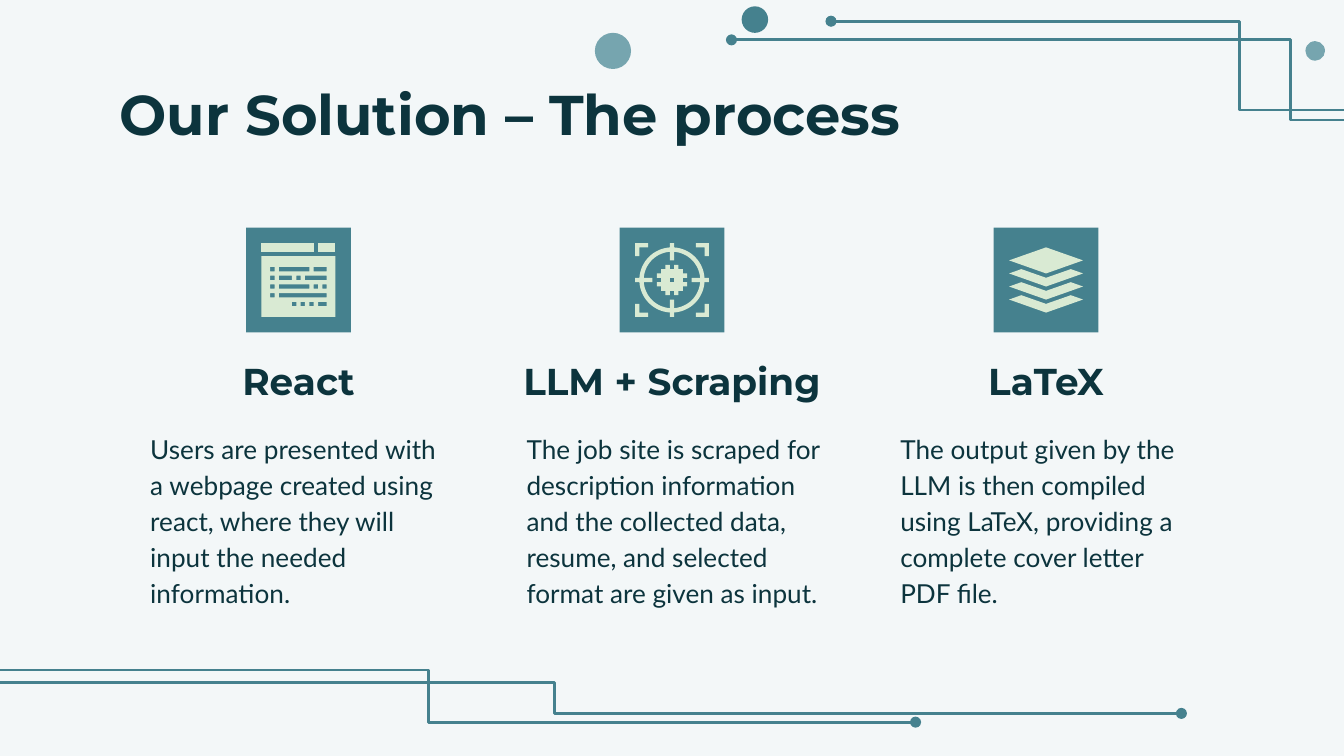
from math import asin, cos, pi, sin

from lxml.etree import SubElement
from pptx import Presentation
from pptx.dml.color import RGBColor
from pptx.enum.shapes import MSO_CONNECTOR, MSO_SHAPE
from pptx.enum.text import MSO_ANCHOR, MSO_AUTO_SIZE, PP_ALIGN
from pptx.oxml.ns import qn
from pptx.util import Pt

BACKGROUND, INK = "F3F7F8", "0C343D"
TEAL, LIGHT_TEAL, MINT = "45818E", "76A5AF", "D9EAD3"

# Icons are drawn on a grid of 17 by 17 cells inside a square tile
CELL, TILE, TILE_TOP = 2.33, 56.2, 121.9
GRID = 17
MIDDLE = GRID / 2

# Tile centre, heading, heading width, description, description left
COLUMNS = [
    (159.9, "React", 171.4,
     "Users are presented with a webpage created using react, where they "
     "will input the needed information.", 73.4),
    (360, "LLM + Scraping", 200.2,
     "The job site is scraped for description information and the collected "
     "data, resume, and selected format are given as input.", 275),
    (560.4, "LaTeX", 171.4,
     "The output given by the LLM is then compiled using LaTeX, providing a "
     "complete cover letter PDF file.", 475.2),
]

# Centre x, centre y, diameter, colour
DOTS = [
    (328.4, 27.3, 19.4, LIGHT_TEAL),
    (404.4, 10.5, 14.2, TEAL),
    (704.6, 27.3, 10.5, LIGHT_TEAL),
]

# Begin, end, x of the bend
CIRCUITS = [
    ((761, 64.3), (391.9, 21.4), 691.2),
    ((771.1, 59), (445.2, 11.4), 664.3),
    ((-38.9, 365.5), (632.9, 382.2), 297),
    ((-31.7, 359), (490.5, 386.9), 229.5),
]

# Top of each code row and the cells its bars cover
CODE_ROWS = [
    (5.5, [(2, 3), (4, 11), (12, 15)]),
    (7.5, [(2, 3), (4, 7), (8, 9), (10, 15)]),
    (9.5, [(2, 3), (4, 11), (12, 13), (14, 15)]),
    (11.5, [(2, 3), (4, 15)]),
    (13.5, [(7, 8), (9, 10), (11, 12), (13, 15)]),
]


def colour(value):
    return RGBColor.from_string(value)


def paint(shape, fill):
    shape.shadow.inherit = False
    shape.fill.solid()
    shape.fill.fore_color.rgb = colour(fill)
    shape.line.fill.background()


def add_preset(shapes, kind, left, top, size, fill):
    paint(shapes.add_shape(kind, Pt(left), Pt(top), Pt(size), Pt(size)), fill)


def add_circuit(page, begin, end, bend):
    line = page.shapes.add_connector(
        MSO_CONNECTOR.ELBOW, *[Pt(value) for value in (*begin, *end)])
    line.line.color.rgb = colour(TEAL)
    line.line.width = Pt(1.5)
    # Bend position, round end and no shadow
    share = round((bend - begin[0]) / (end[0] - begin[0]) * 100000)
    properties = line._element.spPr
    adjustments = properties.find(qn("a:prstGeom")).get_or_add_avLst()
    SubElement(adjustments, qn("a:gd"), name="adj1", fmla=f"val {share}")
    SubElement(properties.find(qn("a:ln")), qn("a:tailEnd"), type="oval")
    SubElement(properties, qn("a:effectLst"))


def write(box, text, font, size, bold=False, align=PP_ALIGN.LEFT,
          anchor=MSO_ANCHOR.TOP, spacing=1.0):
    frame = box.text_frame
    frame.word_wrap = True
    frame.auto_size = MSO_AUTO_SIZE.NONE
    frame.vertical_anchor = anchor
    frame.margin_left = frame.margin_right = Pt(7.2)
    frame.margin_top = frame.margin_bottom = Pt(7.2)
    para = frame.paragraphs[0]
    para.alignment = align
    para.line_spacing = spacing
    span = para.add_run()
    span.text = text
    span.font.name = font
    span.font.size = Pt(size)
    span.font.bold = bold
    span.font.color.rgb = colour(INK)


def add_text(page, left, top, width, height, *content, **style):
    box = page.shapes.add_textbox(Pt(left), Pt(top), Pt(width), Pt(height))
    write(box, *content, spacing=1.15, **style)


def start_icon(page, centre):
    """Add a tile and return a function that draws outlines given in cells."""
    group = page.shapes.add_group_shape()
    add_preset(group.shapes, MSO_SHAPE.RECTANGLE,
               centre - TILE / 2, TILE_TOP, TILE, TEAL)
    left = centre - MIDDLE * CELL
    top = TILE_TOP + TILE / 2 - MIDDLE * CELL

    def draw(*outlines):
        builder = None
        for outline in outlines:
            points = [(Pt(left + x * CELL), Pt(top + y * CELL))
                      for x, y in outline]
            if builder is None:
                builder = group.shapes.build_freeform(*points[0])
            else:
                builder.move_to(*points[0])
            builder.add_line_segments(points[1:], close=True)
        paint(builder.convert_to_shape(), MINT)

    return draw


def block(left, top, right, bottom):
    return [(left, top), (left, bottom), (right, bottom), (right, top)]


def four_turns(points):
    """Repeat points, given from the middle of the grid, at each quarter turn."""
    outline = []
    for _ in range(4):
        outline += [(MIDDLE + x, MIDDLE + y) for x, y in points]
        points = [(y, -x) for x, y in points]
    return outline


def ring_edge(radius, tick):
    """Circle that steps to the tick radius at its four compass points."""
    start, steps = asin(0.5 / radius), 16
    angles = [start + (pi / 2 - 2 * start) * i / steps for i in range(steps + 1)]
    arc = [(radius * cos(a), -radius * sin(a)) for a in angles]
    return four_turns([(tick, -0.5)] + arc + [(0.5, -tick)])


def draw_code_window(draw):
    draw(block(0, 0, 12, 2))
    draw(block(13, 0, 17, 2))
    bars = [block(left, top, right, top + 1)
            for top, spans in CODE_ROWS for left, right in spans]
    draw(block(0, 3, 17, 17), *bars)


def draw_target(draw):
    draw(ring_edge(7.5, 8.5), ring_edge(6.5, 4.5))
    # Corner brackets, mirrored from the top left one
    bracket = [(0, 0), (0, 3), (1, 3), (1, 1), (3, 1), (3, 0)]
    for flip_x in (False, True):
        for flip_y in (False, True):
            draw([(GRID - x if flip_x else x, GRID - y if flip_y else y)
                  for x, y in bracket])
    # Bug in the centre
    quarter = [(-1.5, -3.5), (-1.5, -2.5), (-2.5, -2.5), (-2.5, -1.5),
               (-3.5, -1.5), (-3.5, -0.5), (-2.5, -0.5), (-2.5, 0.5),
               (-3.5, 0.5)]
    draw(four_turns(quarter), block(8, 8, 9, 9))


def draw_layers(draw):
    draw([(MIDDLE, 1), (0, 4), (MIDDLE, 7), (GRID, 4)])
    for top in (6, 9, 12):
        draw([(2.8, top), (0, top + 1), (MIDDLE, top + 4), (GRID, top + 1),
              (14.2, top), (MIDDLE, top + 2)])


def main():
    deck = Presentation()
    deck.slide_width, deck.slide_height = Pt(720), Pt(405)
    page = deck.slides.add_slide(deck.slide_layouts[5])
    page.background.fill.solid()
    page.background.fill.fore_color.rgb = colour(BACKGROUND)

    # Decoration
    for x, y, size, fill in DOTS:
        add_preset(page.shapes, MSO_SHAPE.OVAL, x - size / 2, y - size / 2,
                   size, fill)
    for circuit in CIRCUITS:
        add_circuit(page, *circuit)

    # Title
    title = page.shapes.title
    title.left, title.top, title.width, title.height = (
        Pt(56.9), Pt(35.3), Pt(607), Pt(45.4))
    write(title, "Our Solution – The process", "Montserrat", 30, bold=True)

    # Three steps
    icons = [draw_code_window, draw_target, draw_layers]
    for column, draw_icon in zip(COLUMNS, icons):
        centre, heading, width, description, left = column
        draw_icon(start_icon(page, centre))
        add_text(page, centre - width / 2, 192.2, width, 31, heading,
                 "Montserrat", 20, bold=True, align=PP_ALIGN.CENTER,
                 anchor=MSO_ANCHOR.BOTTOM)
        add_text(page, left, 222.5, 171.4, 103, description, "Lato", 14)

    deck.save("out.pptx")


if __name__ == "__main__":
    main()
